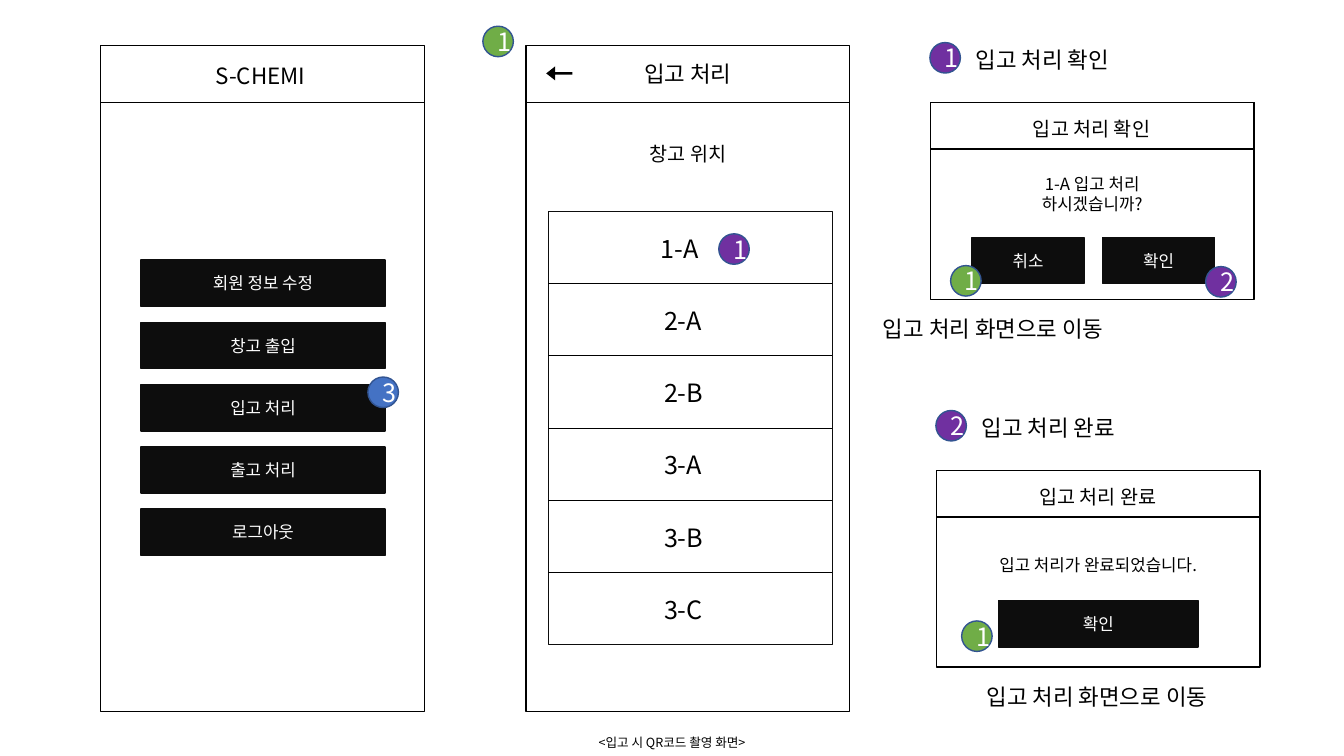
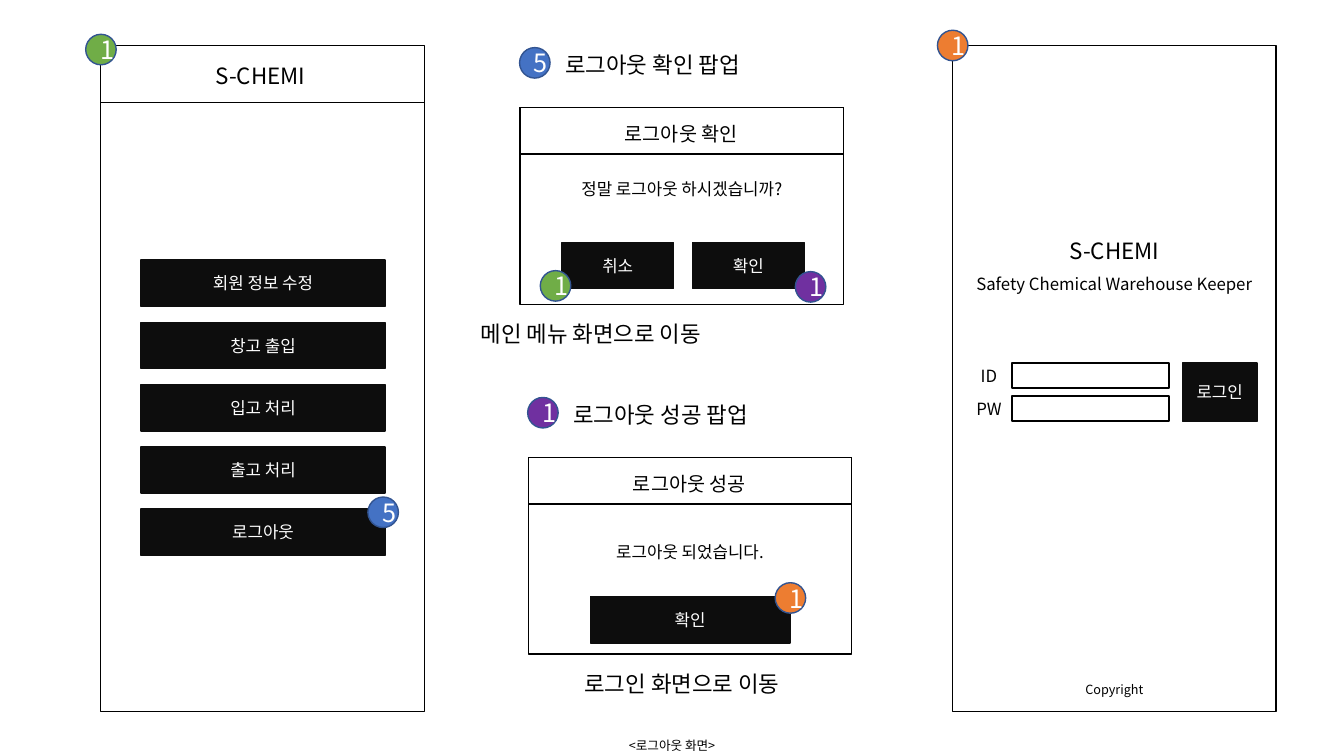
from lxml import etree
from pptx import Presentation
from pptx.dml.color import RGBColor
from pptx.enum.shapes import MSO_CONNECTOR, MSO_SHAPE
from pptx.enum.text import MSO_ANCHOR, MSO_AUTO_SIZE, PP_ALIGN
from pptx.oxml.ns import qn
from pptx.util import Pt

RECT, OVAL, LEFT_ARROW = MSO_SHAPE.RECTANGLE, MSO_SHAPE.OVAL, MSO_SHAPE.LEFT_ARROW
STRAIGHT = MSO_CONNECTOR.STRAIGHT
LEFT, CENTER = PP_ALIGN.LEFT, PP_ALIGN.CENTER
MIDDLE = MSO_ANCHOR.MIDDLE
GROW = MSO_AUTO_SIZE.SHAPE_TO_FIT_TEXT

BLACK = RGBColor(0x00, 0x00, 0x00)
WHITE = RGBColor(0xFF, 0xFF, 0xFF)
INK = RGBColor(0x0D, 0x0D, 0x0D)
BADGE_LINE = RGBColor(0x32, 0x54, 0x91)
GREEN = RGBColor(0x70, 0xAD, 0x47)
PURPLE = RGBColor(0x70, 0x30, 0xA0)
BLUE = RGBColor(0x44, 0x72, 0xC4)
ORANGE = RGBColor(0xED, 0x7D, 0x31)

FONT = "Noto Sans CJK KR"
SLIDE_W, SLIDE_H = 960, 540
PHONE_Y, PHONE_W, PHONE_H, PHONE_HEADER_H = 32.4, 231.1, 476, 41
POPUP_W, POPUP_H, POPUP_HEADER_H = 231.1, 140.4, 33.1
BUTTON_H = 33.1
BADGE = 21.8
MENU = ["회원 정보 수정", "창고 출입", "입고 처리", "출고 처리", "로그아웃"]
RACKS = ["1-A", "2-A", "2-B", "3-A", "3-B", "3-C"]


def write(tf, text, size, color, align):
    tf.text = text
    for p in tf.paragraphs:
        p.alignment = align
        for r in p.runs:
            r.font.size = Pt(size)
            r.font.name = FONT
            r.font.color.rgb = color
            ea = etree.SubElement(r.font._element, qn("a:ea"))
            ea.set("typeface", FONT)


def shape(s, kind, x, y, w, h, fill=None, line=BLACK):
    sp = s.shapes.add_shape(kind, Pt(x), Pt(y), Pt(w), Pt(h))
    sp.shadow.inherit = False
    if fill is None:
        sp.fill.background()
    else:
        sp.fill.solid()
        sp.fill.fore_color.rgb = fill
    if line is None:
        sp.line.fill.background()
    else:
        sp.line.color.rgb = line
        sp.line.width = Pt(1)
    return sp


def label(s, x, y, w, h, text, size, align=CENTER):
    tf = s.shapes.add_textbox(Pt(x), Pt(y), Pt(w), Pt(h)).text_frame
    tf.word_wrap = True
    tf.auto_size = GROW
    write(tf, text, size, BLACK, align)


def rule(s, x, y, w, width):
    line = s.shapes.add_connector(STRAIGHT, Pt(x), Pt(y), Pt(x + w), Pt(y))
    line.line.color.rgb = BLACK
    line.line.width = Pt(width)
    etree.SubElement(line._element.spPr, qn("a:effectLst"))


def button(s, x, y, w, text, h=BUTTON_H):
    sp = shape(s, RECT, x, y, w, h, INK, INK)
    sp.text_frame.vertical_anchor = MIDDLE
    write(sp.text_frame, text, 12, WHITE, CENTER)


def badge(s, x, y, number, color):
    sp = shape(s, OVAL, x, y, BADGE, BADGE, color, BADGE_LINE)
    sp.text_frame.vertical_anchor = MIDDLE
    write(sp.text_frame, number, 18, WHITE, CENTER)


def footer(s, y, text):
    label(s, 0, y, SLIDE_W, 18, text, 9)


def phone(s, x, y=PHONE_Y, header=True):
    shape(s, RECT, x, y, PHONE_W, PHONE_H)
    if header:
        rule(s, x, y + PHONE_HEADER_H, PHONE_W, 1)


def menu_phone(s, x, y=PHONE_Y):
    phone(s, x, y)
    label(s, x + 57.6, y + 8.6, 113, 26.6, "S-CHEMI", 16)
    for i, text in enumerate(MENU):
        button(s, x + 28.8, y + 153.4 + i * 44.46, 174.2, text)


def rack_phone(s, x, y=PHONE_Y):
    phone(s, x, y)
    label(s, x, y + 7.2, PHONE_W, 26.6, "입고 처리", 16)
    arrow = shape(s, LEFT_ARROW, x + 14.4, y + 15, 18.7, 10.1, BLACK, None)
    arrow.adjustments[0] = 0.19
    arrow.adjustments[1] = 0.64
    label(s, x, y + 65.5, PHONE_W, 24.5, "창고 위치", 14)
    list_x, list_y, list_w, row_h = x + 15.8, y + 118.8, 203, 51.5
    shape(s, RECT, list_x, list_y, list_w, row_h * len(RACKS), line=INK)
    for i, rack in enumerate(RACKS):
        row_y = list_y + i * row_h
        if i:
            rule(s, list_x, row_y, list_w, 0.5)
        label(s, list_x + (75.6 if i else 73.4), row_y + 12, 108.7, 28.8, rack, 18, LEFT)


def login_phone(s, x, y=PHONE_Y):
    phone(s, x, y, header=False)
    label(s, x, y + 133.2, PHONE_W, 26.6, "S-CHEMI", 16)
    label(s, x - 23, y + 159.8, PHONE_W + 46, 21.6, "Safety Chemical Warehouse Keeper", 12)
    for i, field in enumerate(["ID", "PW"]):
        field_y = y + 226.8 + i * 23.6
        label(s, x - 4, field_y - 1.7, 60, 21.6, field, 12)
        shape(s, RECT, x + 42.5, field_y, 112.3, 18)
    button(s, x + 164.2, y + 226.8, 53.3, "로그인", 41.8)
    label(s, x, y + 451.4, PHONE_W, 18, "Copyright", 9)


def popup(s, x, y, number, color, heading, title, message, message_y, target, target_x):
    badge(s, x - 0.4, y - 43, number, color)
    label(s, x + 25.2, y - 43.9, 176.4, 26.6, heading, 16, LEFT)
    shape(s, RECT, x, y, POPUP_W, POPUP_H)
    shape(s, RECT, x, y, POPUP_W, POPUP_HEADER_H)
    label(s, x - 23.4, y + 6.3, POPUP_W + 46, 24.5, title, 14)
    label(s, x - 23, y + message_y, POPUP_W + 46, 21.6, message, 12)
    label(s, x + target_x, y + 148, 204, 26.6, target, 16, LEFT)


def confirm_popup(s, x, y, number, color, heading, title, message, target, target_x, ok_number):
    popup(s, x, y, number, color, heading, title, message, 47.2, target, target_x)
    for dx, text in [(29.8, "취소"), (123.1, "확인")]:
        button(s, x + dx, y + 96.1, 79.9, text)
    badge(s, x + 14.4, y + 116.3, "1", GREEN)
    badge(s, x + 196.6, y + 117, ok_number, PURPLE)


def done_popup(s, x, y, number, heading, title, message, target, target_x, button_y):
    popup(s, x, y, number, PURPLE, heading, title, message, 56.2, target, target_x)
    button(s, x + 44.3, y + button_y, 142.6, "확인")


def receiving_slide(prs):
    s = prs.slides.add_slide(prs.slide_layouts[6])
    menu_phone(s, 72)
    badge(s, 262.8, 269.3, "3", BLUE)
    rack_phone(s, 375.8)
    badge(s, 344.9, 18.7, "1", GREEN)
    badge(s, 513.4, 167, "1", PURPLE)
    confirm_popup(s, 664.6, 73.4, "1", PURPLE, "입고 처리 확인", "입고 처리 확인",
                  "1-A 입고 처리\n하시겠습니까?", "입고 처리 화면으로 이동", -41, "2")
    done_popup(s, 668.9, 336.2, "2", "입고 처리 완료", "입고 처리 완료",
               "입고 처리가 완료되었습니다.", "입고 처리 화면으로 이동", 28.8, 92.9)
    badge(s, 686.9, 443.5, "1", GREEN)
    footer(s, 521.3, "<입고 시 QR코드 촬영 화면>")


def logout_slide(prs):
    s = prs.slides.add_slide(prs.slide_layouts[6])
    menu_phone(s, 72)
    badge(s, 61.2, 24.5, "1", GREEN)
    badge(s, 262.8, 355, "5", BLUE)
    confirm_popup(s, 371.5, 77, "5", BLUE, "로그아웃 확인 팝업", "로그아웃 확인",
                  "정말 로그아웃 하시겠습니까?", "메인 메뉴 화면으로 이동", -35.3, "1")
    done_popup(s, 377.3, 326.9, "1", "로그아웃 성공 팝업", "로그아웃 성공",
               "로그아웃 되었습니다.", "로그인 화면으로 이동", 33.1, 99.4)
    badge(s, 553.7, 416.2, "1", ORANGE)
    login_phone(s, 680.4)
    badge(s, 669.6, 21.6, "1", ORANGE)
    footer(s, 523.4, "<로그아웃 화면>")


def main():
    prs = Presentation()
    prs.slide_width, prs.slide_height = Pt(SLIDE_W), Pt(SLIDE_H)
    receiving_slide(prs)
    logout_slide(prs)
    prs.save("out.pptx")


if __name__ == "__main__":
    main()
